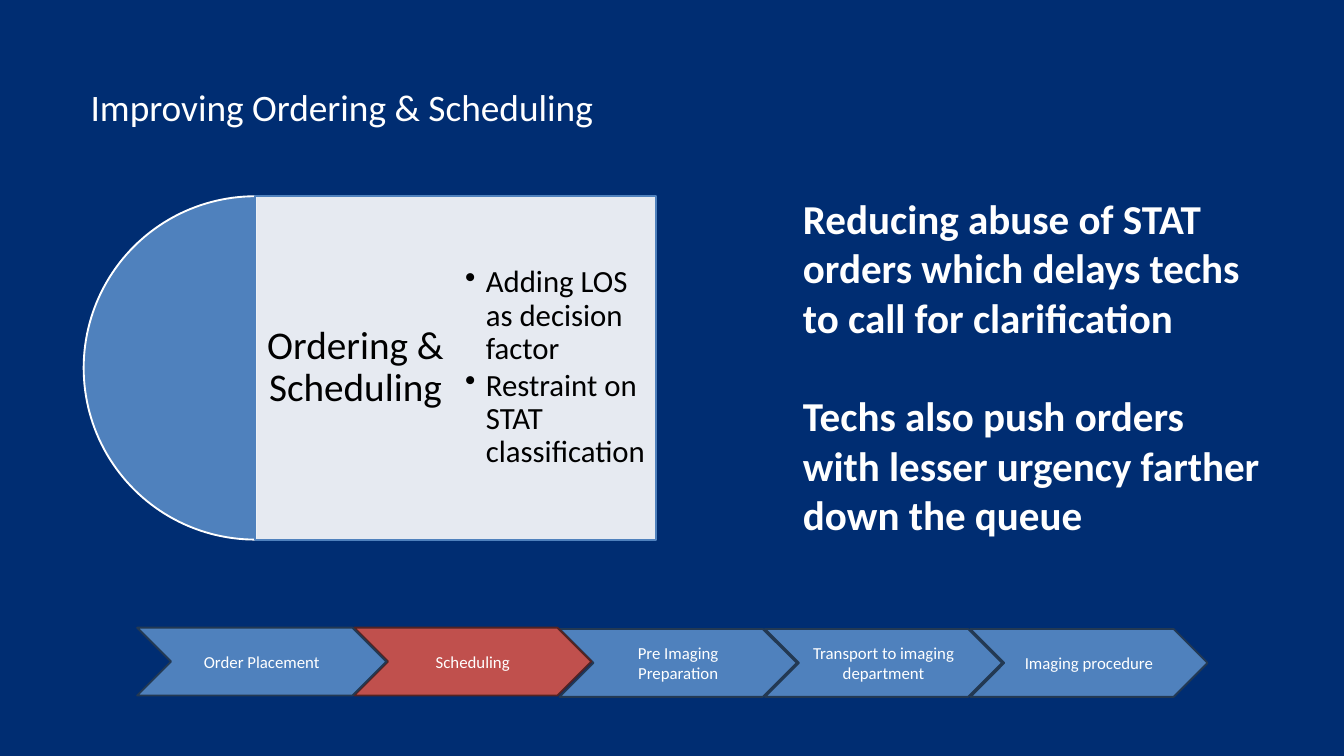
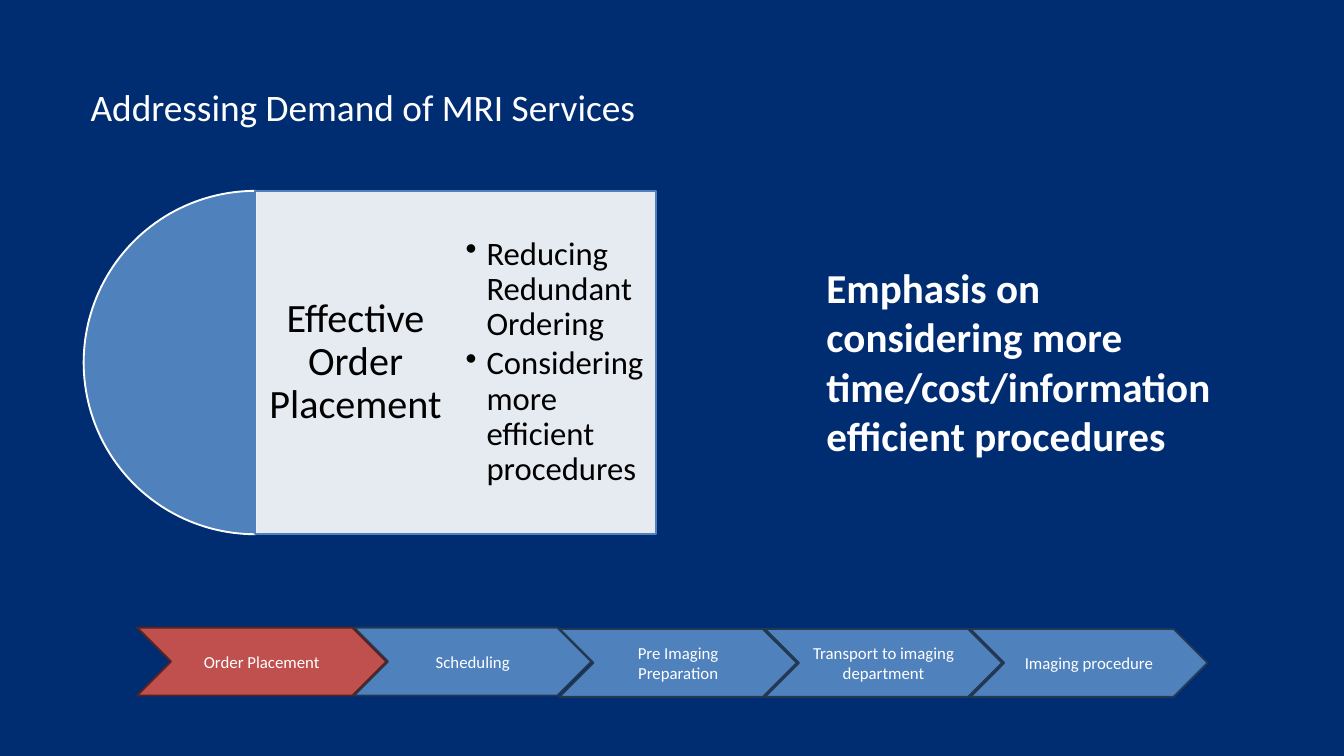
"""Build two slides on improving imaging orders, with a shared process band."""
from dataclasses import dataclass

from lxml import etree
from pptx import Presentation
from pptx.dml.color import RGBColor
from pptx.enum.shapes import MSO_SHAPE
from pptx.enum.text import MSO_ANCHOR, MSO_AUTO_SIZE, PP_ALIGN
from pptx.oxml.ns import qn
from pptx.presentation import Presentation as Deck
from pptx.shapes.autoshape import Shape
from pptx.slide import Slide
from pptx.text.text import TextFrame, _Paragraph
from pptx.util import Inches, Pt

PIE, RECTANGLE, CHEVRON = MSO_SHAPE.PIE, MSO_SHAPE.RECTANGLE, MSO_SHAPE.CHEVRON
MIDDLE = MSO_ANCHOR.MIDDLE
GROW = MSO_AUTO_SIZE.SHAPE_TO_FIT_TEXT
LEFT, CENTER = PP_ALIGN.LEFT, PP_ALIGN.CENTER

NAVY = RGBColor(0x00, 0x2D, 0x72)
WHITE = RGBColor(0xFF, 0xFF, 0xFF)
BLACK = RGBColor(0x00, 0x00, 0x00)
BLUE = RGBColor(0x4F, 0x81, 0xBD)
BLUE_EDGE = RGBColor(0x23, 0x39, 0x53)
RED = RGBColor(0xC0, 0x50, 0x4D)
RED_EDGE = RGBColor(0x54, 0x23, 0x22)

FONT = "Calibri"
PANEL_SIZE = 5.11
CARD_LEFT, CARD_WIDTH = 3.8, 5.96
FIRST_STEP_LEFT, SECOND_STEP_LEFT, LAST_STEP_LEFT = 2.04, 5.27, 14.44


@dataclass(frozen=True)
class Box:
    """A rectangle in inches."""

    left: float
    top: float
    width: float
    height: float

    def lengths(self) -> tuple[Inches, Inches, Inches, Inches]:
        """Return the sides as slide lengths."""
        return (Inches(self.left), Inches(self.top),
                Inches(self.width), Inches(self.height))


@dataclass(frozen=True)
class TextStyle:
    """How the paragraphs of one text frame look."""

    size: float
    color: RGBColor = WHITE
    bold: bool = False
    align: PP_ALIGN = LEFT
    line_spacing: float = 1.0
    gap: float = 0
    bulleted: bool = False


@dataclass(frozen=True)
class Panel:
    """A topic with its bullets beside a half circle."""

    top: float
    topic: str
    topic_size: float
    topic_inset: float
    bullets: tuple[str, ...]
    bullet_size: float
    bullet_inset: float


@dataclass(frozen=True)
class TopicSlide:
    """The content of one slide."""

    title: str
    panel: Panel
    message: tuple[str, ...]
    message_box: Box
    active_step: str


TITLE_BOX = Box(1.25, 1.21, 17.92, 0.77)
TITLE_STYLE = TextStyle(40)
MESSAGE_STYLE = TextStyle(44, bold=True, gap=53)
STEP_STYLE = TextStyle(18, align=CENTER)

STEPS = ("Order Placement", "Scheduling", "Pre Imaging Preparation",
         "Transport to imaging department", "Imaging procedure")
STEP_PITCH = (LAST_STEP_LEFT - SECOND_STEP_LEFT) / (len(STEPS) - 2)

TOPIC_SLIDES = (
    TopicSlide(
        "Improving Ordering & Scheduling",
        Panel(2.92, "Ordering & Scheduling", 42, 0.17,
              ("Adding LOS as decision factor", "Restraint on STAT classification"),
              33, 0.14),
        ("Reducing abuse of STAT orders which delays techs to call for clarification",
         "Techs also push orders with lesser urgency farther down the queue"),
        Box(11.85, 2.83, 7.12, 5.59),
        "Scheduling",
    ),
    TopicSlide(
        "Addressing Demand of MRI Services",
        Panel(2.84, "Effective Order Placement", 43, 0.18,
              ("Reducing Redundant Ordering", "Considering more efficient procedures"),
              35, 0.15),
        ("Emphasis on considering more time/cost/information efficient procedures",),
        Box(12.2, 3.86, 6.22, 3.06),
        "Order Placement",
    ),
)


def add_bullet(paragraph: _Paragraph) -> None:
    """Give a paragraph a hanging round bullet."""
    properties = paragraph._p.get_or_add_pPr()
    properties.set("marL", str(Inches(0.31)))
    properties.set("indent", str(-Inches(0.31)))
    etree.SubElement(properties, qn("a:buChar"), char="•")


def write_text(frame: TextFrame, lines: tuple[str, ...], style: TextStyle) -> None:
    """Fill a text frame with one paragraph for each line."""
    frame.word_wrap = True
    for index, line in enumerate(lines):
        paragraph = frame.add_paragraph() if index else frame.paragraphs[0]
        paragraph.text = line
        paragraph.alignment = style.align
        paragraph.line_spacing = style.line_spacing
        if index:
            paragraph.space_before = Pt(style.gap)
        if style.bulleted:
            add_bullet(paragraph)
        font = paragraph.font
        font.name, font.size, font.bold = FONT, Pt(style.size), style.bold
        font.color.rgb = style.color


def add_growing_text(slide: Slide, box: Box, lines: tuple[str, ...],
                     style: TextStyle) -> None:
    """Add a text box that fits its text."""
    frame = slide.shapes.add_textbox(*box.lengths()).text_frame
    write_text(frame, lines, style)
    frame.auto_size = GROW


def add_panel_text(shapes, box: Box, inset: float, lines: tuple[str, ...],
                   style: TextStyle) -> None:
    """Add a vertically centred text box with equal insets."""
    frame = shapes.add_textbox(*box.lengths()).text_frame
    frame.margin_left = frame.margin_right = Inches(inset)
    frame.margin_top = frame.margin_bottom = Inches(inset)
    frame.vertical_anchor = MIDDLE
    write_text(frame, lines, style)


def add_filled_shape(shapes, kind: MSO_SHAPE, box: Box, fill: RGBColor,
                     edge: RGBColor) -> Shape:
    """Add a flat preset shape with an outline."""
    shape = shapes.add_shape(kind, *box.lengths())
    shape.shadow.inherit = False
    shape.fill.solid()
    shape.fill.fore_color.rgb = fill
    shape.line.color.rgb = edge
    shape.line.width = Pt(2)
    return shape


def add_panel(slide: Slide, panel: Panel) -> None:
    """Add the half circle and the card with the topic and its bullets."""
    shapes = slide.shapes.add_group_shape().shapes
    circle_box = Box(CARD_LEFT - PANEL_SIZE / 2, panel.top, PANEL_SIZE, PANEL_SIZE)
    half_circle = add_filled_shape(shapes, PIE, circle_box, BLUE, WHITE)
    half_circle.adjustments[0] = 54
    half_circle.adjustments[1] = 162

    card_box = Box(CARD_LEFT, panel.top, CARD_WIDTH, PANEL_SIZE)
    card = add_filled_shape(shapes, RECTANGLE, card_box, WHITE, BLUE)
    fill_color = card._element.spPr.find(qn("a:solidFill"))[0]
    etree.SubElement(fill_color, qn("a:alpha"), val="90000")

    half = CARD_WIDTH / 2
    add_panel_text(shapes, Box(CARD_LEFT, panel.top, half, PANEL_SIZE),
                   panel.topic_inset, (panel.topic,),
                   TextStyle(panel.topic_size, BLACK, align=CENTER, line_spacing=0.9))
    add_panel_text(shapes, Box(CARD_LEFT + half, panel.top, half, PANEL_SIZE),
                   panel.bullet_inset, panel.bullets,
                   TextStyle(panel.bullet_size, BLACK, line_spacing=0.9, gap=4,
                             bulleted=True))


def step_box(index: int) -> Box:
    """Return the place of a process step."""
    if index == 0:
        return Box(FIRST_STEP_LEFT, 9.34, 3.71, 1.01)
    top = 9.34 if index == 1 else 9.36
    return Box(SECOND_STEP_LEFT + (index - 1) * STEP_PITCH, top, 3.53, 1.01)


def add_process_band(slide: Slide, active_step: str) -> None:
    """Add the chevrons from last to first and highlight the active one."""
    shapes = slide.shapes.add_group_shape().shapes
    for index, step in reversed(list(enumerate(STEPS))):
        fill, edge = (RED, RED_EDGE) if step == active_step else (BLUE, BLUE_EDGE)
        chevron = add_filled_shape(shapes, CHEVRON, step_box(index), fill, edge)
        write_text(chevron.text_frame, (step,), STEP_STYLE)


def add_topic_slide(presentation: Deck, topic: TopicSlide) -> None:
    """Add one slide with title, panel, message and process band."""
    slide = presentation.slides.add_slide(presentation.slide_layouts[6])
    add_growing_text(slide, TITLE_BOX, (topic.title,), TITLE_STYLE)
    add_panel(slide, topic.panel)
    add_process_band(slide, topic.active_step)
    add_growing_text(slide, topic.message_box, topic.message, MESSAGE_STYLE)


def main() -> None:
    """Build and save the presentation."""
    presentation = Presentation()
    presentation.slide_width = Inches(20)
    presentation.slide_height = Inches(11.25)
    background = presentation.slide_master.background.fill
    background.solid()
    background.fore_color.rgb = NAVY
    for topic in TOPIC_SLIDES:
        add_topic_slide(presentation, topic)
    presentation.save("out.pptx")


if __name__ == "__main__":
    main()
